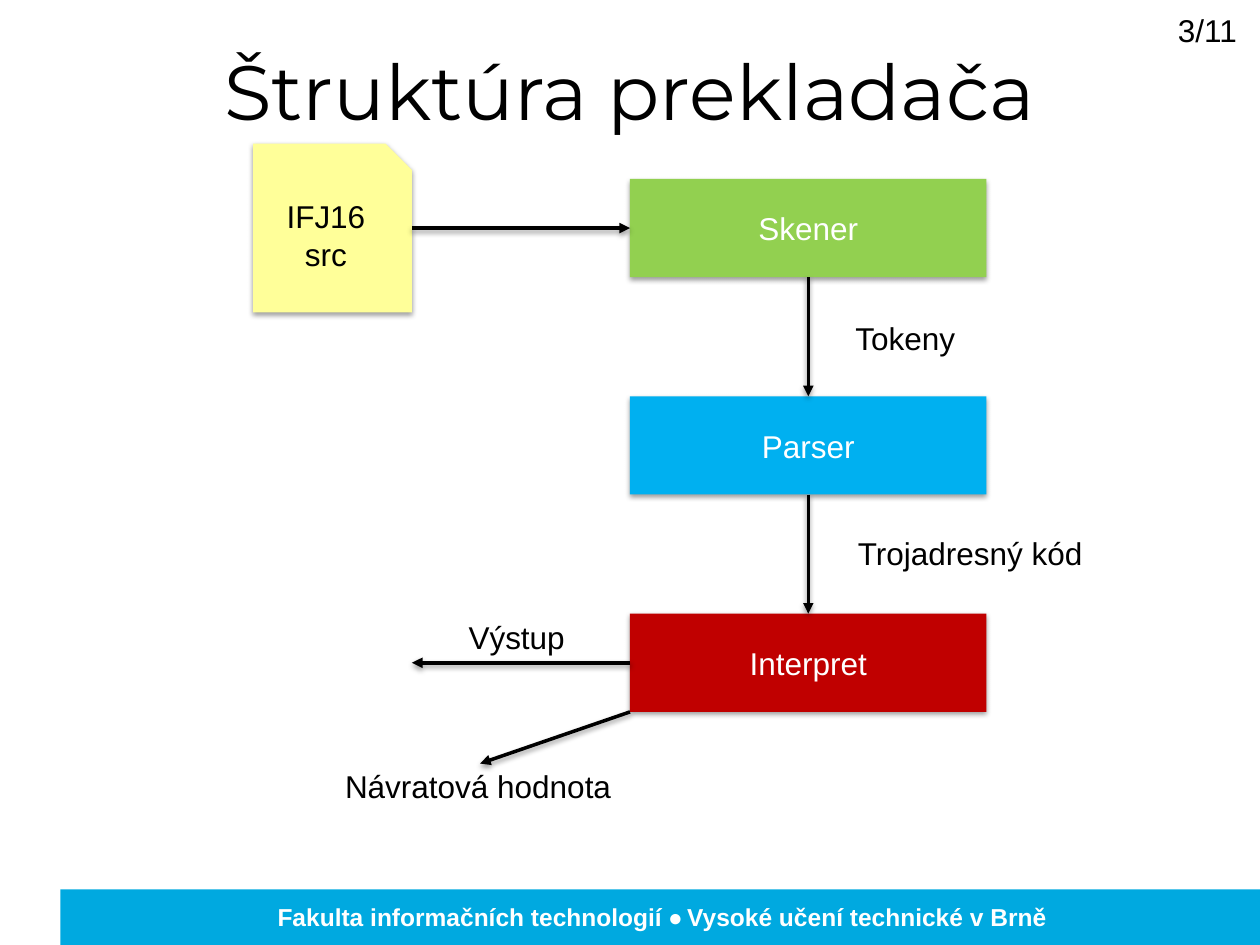
import lxml.etree
import pptx
import pptx.dml.color
import pptx.enum.shapes
import pptx.enum.text
import pptx.oxml.ns
import pptx.util

Inches = pptx.util.Inches
Pt = pptx.util.Pt
Shape = pptx.enum.shapes.MSO_SHAPE
Align = pptx.enum.text.PP_ALIGN
Anchor = pptx.enum.text.MSO_ANCHOR
qn = pptx.oxml.ns.qn
TOP, LEFT, BOTTOM, RIGHT = range(4)


def color(value):
    """Turn a hex string into a colour."""
    return pptx.dml.color.RGBColor.from_string(value)


class Diagram:
    """Hold the style and the page, and draw each kind of element."""

    font = "Arial"
    size = 18
    ink = "000000"
    paper = "FFFFFF"

    def __init__(self, page):
        """Keep the page to draw on."""
        self.page = page

    def shadow(self, effects):
        """Add the soft drop shadow to an effect list."""
        shade = lxml.etree.SubElement(
            effects, qn("a:outerShdw"), blurRad=str(Pt(3.1)), dist=str(Pt(1.6)),
            dir="5400000", rotWithShape="0")
        tone = lxml.etree.SubElement(shade, qn("a:srgbClr"), val=self.ink)
        lxml.etree.SubElement(tone, qn("a:alpha"), val="38000")

    def add_text(self, para, text, ink=None, size=None, font=None, bold=False):
        """Add one run to a paragraph."""
        span = para.add_run()
        span.text = text
        span.font.name = font or self.font
        span.font.size = Pt(size or self.size)
        span.font.bold = bold
        span.font.color.rgb = color(ink or self.ink)

    def area(self, left, top, width, height, align=Align.LEFT):
        """Add a wrapping text box and return its paragraph."""
        box = self.page.shapes.add_textbox(
            Inches(left), Inches(top), Inches(width), Inches(height))
        box.text_frame.word_wrap = True
        para = box.text_frame.paragraphs[0]
        para.alignment = align
        return para

    def label(self, text, left, top, width):
        """Add a one-line label."""
        self.add_text(self.area(left, top, width, 0.4), text)

    def block(self, kind, left, top, width, height, fill):
        """Add a plain filled shape."""
        box = self.page.shapes.add_shape(
            kind, Inches(left), Inches(top), Inches(width), Inches(height))
        box.fill.solid()
        box.fill.fore_color.rgb = color(fill)
        box.line.fill.background()
        box.shadow.inherit = False
        return box

    def node(self, text, kind, left, top, width, height, fill, ink):
        """Add a shaded shape with centred text."""
        box = self.block(kind, left, top, width, height, fill)
        self.shadow(box._element.spPr.find(qn("a:effectLst")))
        box.text_frame.word_wrap = True
        box.text_frame.vertical_anchor = Anchor.MIDDLE
        para = box.text_frame.paragraphs[0]
        para.alignment = Align.CENTER
        self.add_text(para, text, ink)
        return box

    def arrow(self, start=(0, 0), end=(0, 0), source=None, target=None):
        """Add an arrow between points or (box, side) joints."""
        line = self.page.shapes.add_connector(
            pptx.enum.shapes.MSO_CONNECTOR.STRAIGHT,
            *(Inches(value) for value in (*start, *end)))
        if source:
            line.begin_connect(*source)
        if target:
            line.end_connect(*target)
        line.line.color.rgb = color(self.ink)
        line.line.width = Pt(2)
        properties = line._element.spPr
        lxml.etree.SubElement(
            properties.find(qn("a:ln")), qn("a:tailEnd"), type="triangle")
        self.shadow(lxml.etree.SubElement(properties, qn("a:effectLst")))


def main():
    """Build the slide and save it."""
    deck = pptx.Presentation()
    deck.slide_width, deck.slide_height = Inches(10), Inches(7.5)
    diagram = Diagram(deck.slides.add_slide(deck.slide_layouts[6]))

    diagram.block(Shape.RECTANGLE, 0.48, 7.06, 9.52, 0.44, "00A9E0")
    footer = diagram.area(0.51, 7.11, 9.49, 0.34, Align.CENTER)
    for text, font in (("Fakulta informačních technologií ", "Arial"),
                       ("• ", "Calibri"),
                       ("Vysoké učení technické v Brně", "Arial")):
        diagram.add_text(footer, text, diagram.paper, 14, font, True)
    title = diagram.area(0.5, 0.3, 9, 1.25, Align.CENTER)
    diagram.add_text(title, "Štruktúra prekladača", size=44, font="Montserrat")

    stages = [
        diagram.node(text, Shape.RECTANGLE, 5, 1.42 + 1.725 * row, 2.83, 0.78,
                     fill, diagram.paper)
        for row, (text, fill) in enumerate(
            (("Skener", "92D050"), ("Parser", "00B0F0"), ("Interpret", "C00000")))]
    source = diagram.node("IFJ16 src", Shape.SNIP_1_RECTANGLE,
                          2.01, 1.14, 1.26, 1.34, "FFFF99", diagram.ink)

    diagram.arrow(source=(source, RIGHT), target=(stages[0], LEFT))
    for upper, lower in zip(stages, stages[1:]):
        diagram.arrow(source=(upper, BOTTOM), target=(lower, TOP))
    diagram.arrow(end=(3.27, 5.26), source=(stages[2], LEFT))
    diagram.arrow(start=(5, 5.65), end=(3.81, 6.06))

    for text, left, top, width in (
            ("Trojadresný kód", 6.71, 4.19, 2.15),
            ("Tokeny", 6.69, 2.48, 1.38),
            ("Výstup", 3.62, 4.86, 1.18),
            ("Návratová hodnota", 2.64, 6.04, 2.54),
            ("3/11", 9.25, 0.04, 1.22)):
        diagram.label(text, left, top, width)
    deck.save("out.pptx")


if __name__ == "__main__":
    main()
